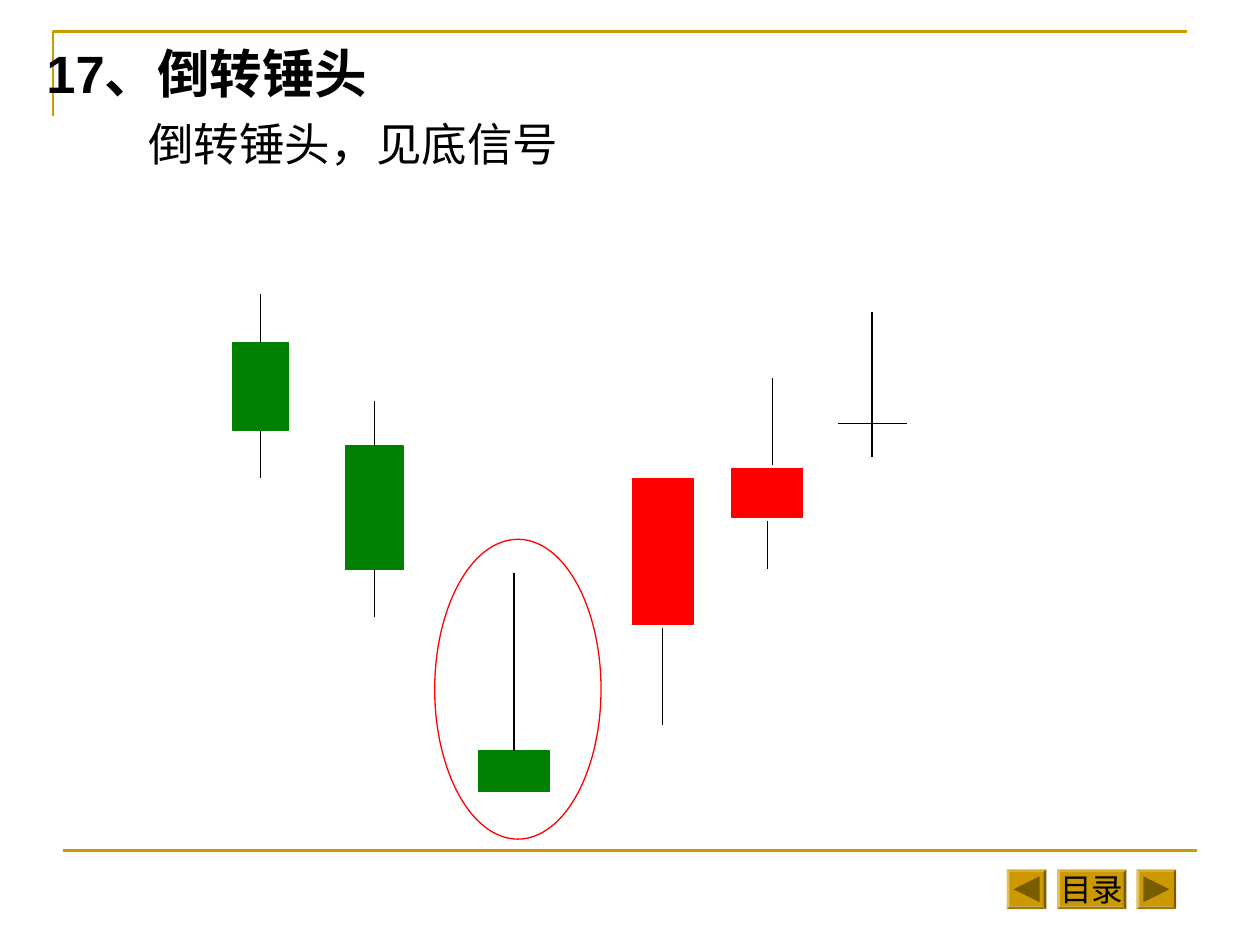
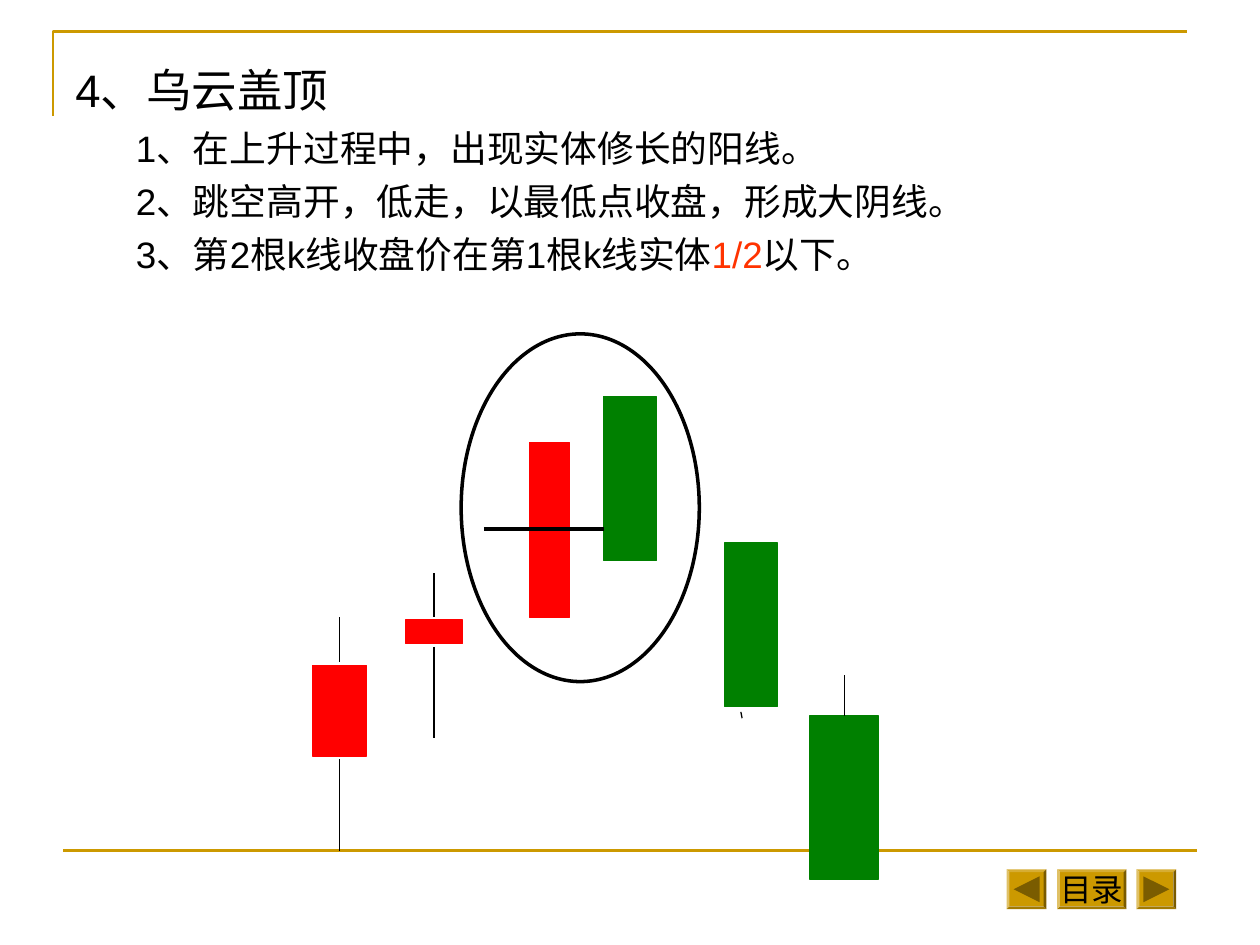
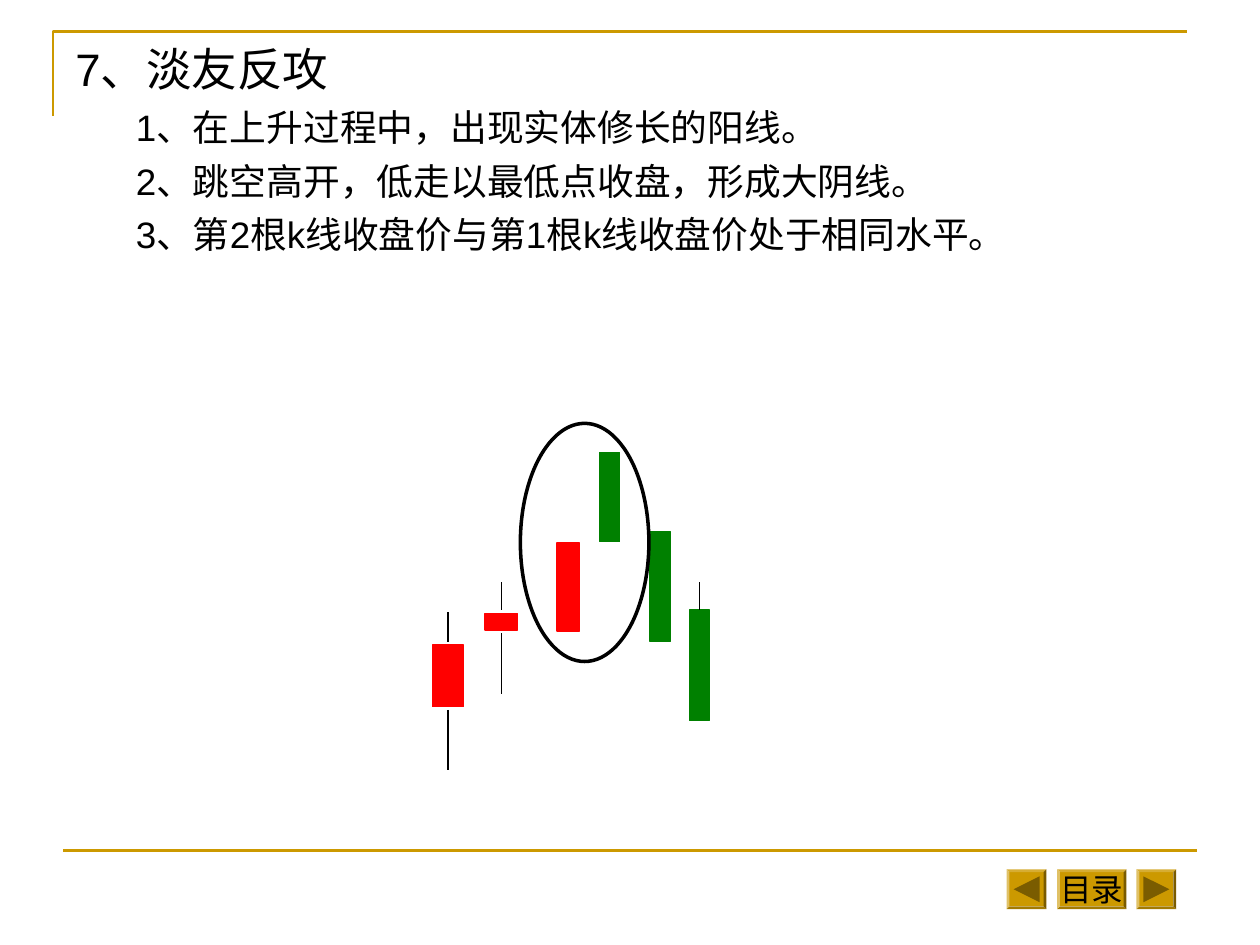
from pptx import Presentation
from pptx.dml.color import RGBColor
from pptx.enum.shapes import MSO_CONNECTOR, MSO_SHAPE
from pptx.enum.text import MSO_ANCHOR, PP_ALIGN
from pptx.oxml.ns import qn
from pptx.util import Inches, Pt
from lxml import etree

RECT, OVAL = MSO_SHAPE.RECTANGLE, MSO_SHAPE.OVAL
BEVEL, TRIANGLE = MSO_SHAPE.BEVEL, MSO_SHAPE.ISOSCELES_TRIANGLE
STRAIGHT = MSO_CONNECTOR.STRAIGHT
MIDDLE, CENTER = MSO_ANCHOR.MIDDLE, PP_ALIGN.CENTER

# The slide is a grid of 100 columns by 75 rows of square cells.
COLS, ROWS = 100, 75
CELL = Inches(0.1)
FONT = "Arial"
THIN, FRAME, BOLD = 0.75, 1.5, 2
RISING_GAP = 0.25
COLORS = {
    "gold": "CC9900",
    "arrow": "7A5C00",
    "text": "000000",
    "accent": "FF3300",
    "up": "FF0000",
    "down": "008000",
    "white": "FFFFFF",
}


def rgb(name):
    return RGBColor.from_string(COLORS[name])


def cells(*values):
    return [int(v * CELL) for v in values]


def add_line(s, x1, y1, x2, y2, color="text", width=THIN):
    line = s.shapes.add_connector(STRAIGHT, *cells(x1, y1, x2, y2))
    line.line.color.rgb = rgb(color)
    line.line.width = Pt(width)
    etree.SubElement(line._element.spPr, qn("a:effectLst"))


def add_preset(s, kind, box, fill=None, line=None, width=THIN):
    sp = s.shapes.add_shape(kind, *cells(*box))
    sp.shadow.inherit = False
    if fill:
        sp.fill.solid()
        sp.fill.fore_color.rgb = rgb(fill)
    else:
        sp.fill.background()
    if line:
        sp.line.color.rgb = rgb(line)
        sp.line.width = Pt(width)
    else:
        sp.line.fill.background()
    return sp


def style_run(r, size, color="text", bold=False):
    r.font.name = FONT
    r.font.size = Pt(size)
    r.font.bold = bold
    r.font.color.rgb = rgb(color)


def add_button(s, left, width, label=None, turn=None):
    """Bevelled button holding either a label or a triangle turned by an angle."""
    top, height = 69, 3.15
    sp = add_preset(s, BEVEL, (left, top, width, height), "gold")
    sp.adjustments[0] = 0.07
    if label:
        tf = sp.text_frame
        tf.word_wrap = False
        tf.vertical_anchor = MIDDLE
        tf.text = label
        tf.paragraphs[0].alignment = CENTER
        style_run(tf.paragraphs[0].runs[0], 18)
    else:
        side = 2.05
        arrow = (left + (width - side) / 2, top + (height - side) / 2, side, side)
        add_preset(s, TRIANGLE, arrow, "arrow").rotation = turn


def add_frame(s):
    corner = s.shapes.build_freeform(*cells(4.2, 9.2), scale=1.0)
    corner.add_line_segments([cells(4.2, 2.5), cells(94.2, 2.5)], close=False)
    sp = corner.convert_to_shape()
    sp.shadow.inherit = False
    sp.fill.background()
    sp.line.color.rgb = rgb("gold")
    sp.line.width = Pt(FRAME)
    add_line(s, 5, 67.5, 95, 67.5, "gold", FRAME)
    add_button(s, 83.9, 5.5, label="目录")
    add_button(s, 79.9, 3.15, turn=270)
    add_button(s, 90.2, 3.15, turn=90)


def add_text(s, box, title, lines, title_size=26, size=21, bold=False, indent=4.8):
    """Title with indented lines; a line is a list of (text, colour) parts."""
    tf = s.shapes.add_textbox(*cells(*box)).text_frame
    tf.word_wrap = True
    tf.text = title
    style_run(tf.paragraphs[0].runs[0], title_size, bold=bold)
    for parts in lines:
        p = tf.add_paragraph()
        p.space_before = Pt(size / 4)
        p._p.get_or_add_pPr().set("marL", str(int(indent * CELL)))
        for text, color in parts:
            r = p.add_run()
            r.text = text
            style_run(r, size, color)


def add_candle(s, trend, left, top, width, height, high=None, low=None):
    """Candle body with optional wicks reaching up to high and down to low."""
    add_preset(s, RECT, (left, top, width, height), trend, trend)
    x = left + width / 2
    gap = RISING_GAP if trend == "up" else 0
    if high is not None:
        add_line(s, x, high, x, top - gap)
    if low is not None:
        add_line(s, x, top + height + gap, x, low)


def add_candles(s, candles):
    for candle in candles:
        add_candle(s, *candle)


def inverted_hammer(s):
    add_text(s, (2.7, 2.8, 90, 49.6), "17、倒转锤头",
             [[("倒转锤头，见底信号", "text")]],
             title_size=30, size=26, bold=True, indent=8.1)
    add_preset(s, OVAL, (34.5, 42.8, 13.2, 23.8), "white", "up")
    add_candles(s, [
        ("down", 18.5, 27.2, 4.4, 7, 23.3, 37.9),
        ("down", 27.4, 35.4, 4.6, 9.8, 31.8, 49),
        ("down", 38, 59.6, 5.6, 3.2, 45.5),
        ("up", 50.2, 38, 4.8, 11.6, None, 57.5),
        ("up", 58.1, 37.2, 5.6, 3.9, None, 45.2),
    ])
    add_line(s, 61.3, 30, 61.3, 36.9)
    add_line(s, 69.2, 24.8, 69.2, 36.3)
    add_line(s, 66.5, 33.6, 72, 33.6)


def dark_cloud_cover(s):
    add_text(s, (5, 4.4, 90, 62.6), "4、乌云盖顶", [
        [("1、在上升过程中，出现实体修长的阳线。", "text")],
        [("2、跳空高开，低走，以最低点收盘，形成大阴线。", "text")],
        [("3、第2根k线收盘价在第1根k线实体", "text"),
         ("1/2", "accent"), ("以下。", "text")],
    ])
    add_candles(s, [
        ("up", 24.8, 52.8, 4.3, 7.2, 49, 67.5),
        ("up", 32.2, 49.2, 4.5, 1.9, 45.5, 58.6),
        ("down", 47.9, 31.5, 4.2, 13),
        ("down", 57.5, 43.1, 4.2, 13),
        ("down", 64.3, 56.8, 5.4, 13, 53.6),
        ("up", 42, 35.1, 3.2, 13.9),
    ])
    add_line(s, 58.8, 56.5, 58.9, 57)
    add_line(s, 38.4, 42, 47.9, 42, width=BOLD)
    add_preset(s, OVAL, (36.6, 26.5, 18.9, 27.6), line="text", width=BOLD)


def bear_counterattack(s):
    add_text(s, (5, 2.8, 90, 64.2), "7、淡友反攻", [
        [("1、在上升过程中，出现实体修长的阳线。", "text")],
        [("2、跳空高开，低走以最低点收盘，形成大阴线。", "text")],
        [("3、第2根k线收盘价与第1根k线收盘价处于相同水平。", "text")],
    ])
    add_candles(s, [
        ("up", 34.3, 51.2, 2.5, 4.9, 48.6, 61.1),
        ("up", 38.5, 48.7, 2.6, 1.3, 46.2, 55.1),
        ("down", 47.6, 35.9, 1.6, 7.1),
        ("down", 51.6, 42.2, 1.6, 8.7),
        ("down", 54.7, 48.4, 1.6, 8.8, 46.2),
        ("up", 44.2, 43.1, 1.8, 7),
    ])
    add_preset(s, OVAL, (41.3, 33.6, 10.2, 18.9), line="text", width=BOLD)


def main():
    prs = Presentation()
    prs.slide_width, prs.slide_height = cells(COLS, ROWS)
    for draw in (inverted_hammer, dark_cloud_cover, bear_counterattack):
        s = prs.slides.add_slide(prs.slide_layouts[6])
        add_frame(s)
        draw(s)
    prs.save("out.pptx")


if __name__ == "__main__":
    main()
